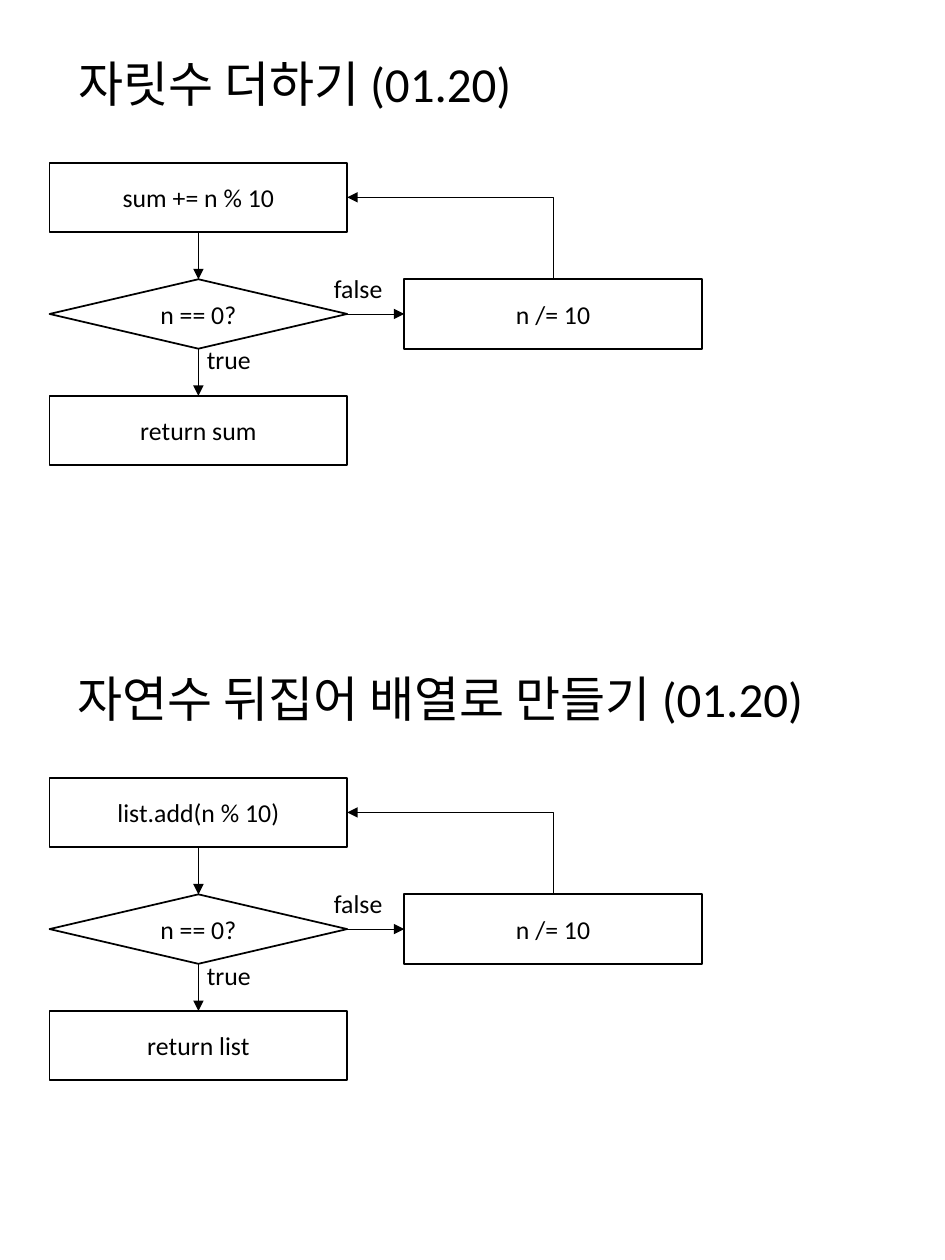
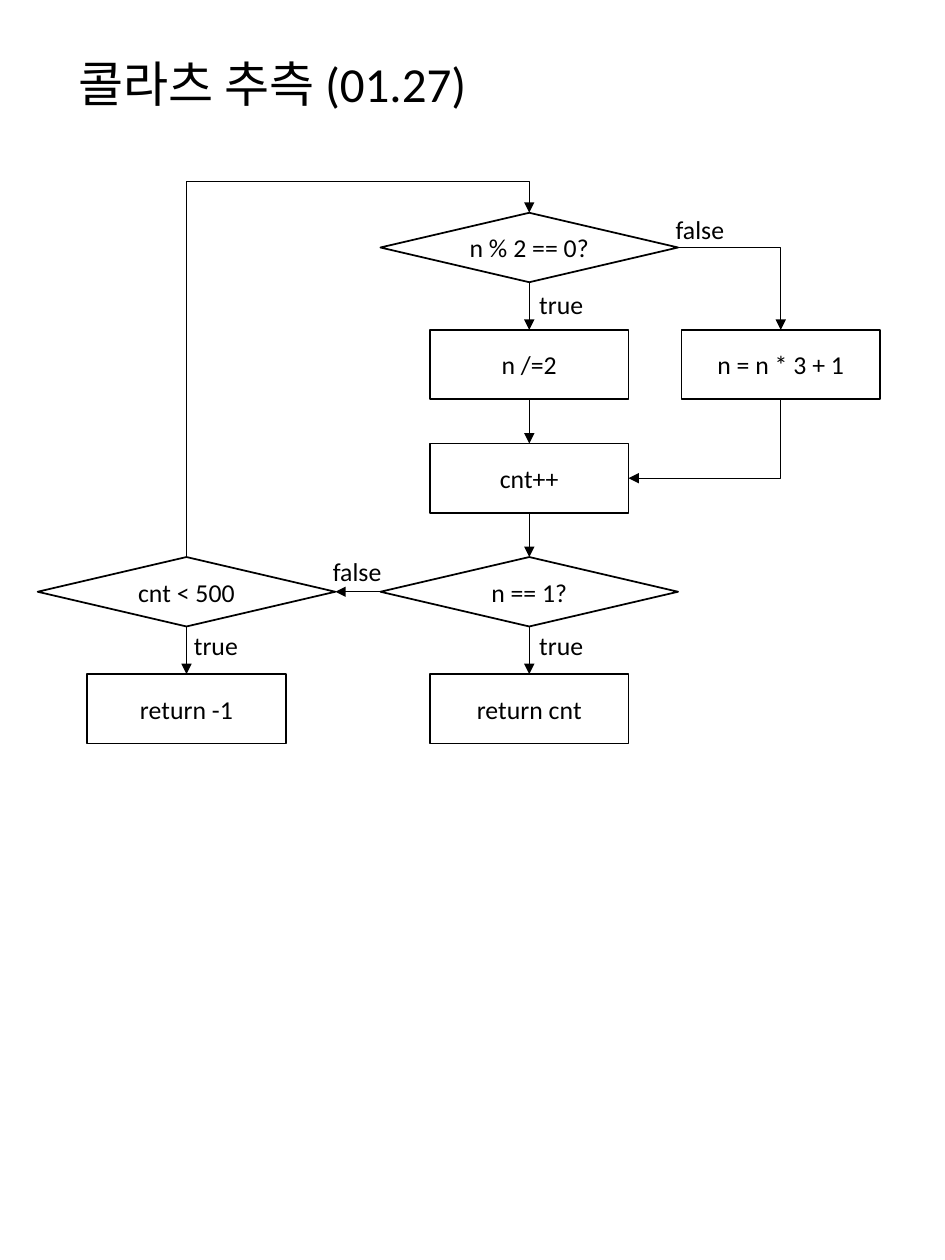
import pptx
import pptx.dml.color
import pptx.enum.shapes
import pptx.enum.text
import pptx.oxml
import pptx.oxml.ns
import pptx.util
from pptx.util import Cm

BLACK = pptx.dml.color.RGBColor(0x00, 0x00, 0x00)
FONT = "Calibri"
TITLE_SIZE, BODY_SIZE = 28, 14.7
TITLE_LEFT, TITLE_TOP, TITLE_WIDTH, TITLE_HEIGHT = 1.32, 0.97, 16.43, 1.55
NODE_HEIGHT, WIDE, NARROW = 1.4, 6, 4
LABEL_HEIGHT, LABEL_MARGIN = 0.89, 0.13

ALIGN = pptx.enum.text.PP_ALIGN
ANCHOR = pptx.enum.text.MSO_ANCHOR
AUTO_SIZE = pptx.enum.text.MSO_AUTO_SIZE
CONNECTOR = pptx.enum.shapes.MSO_CONNECTOR
RECTANGLE = pptx.enum.shapes.MSO_SHAPE.RECTANGLE
DIAMOND = pptx.enum.shapes.MSO_SHAPE.DIAMOND
TOP, LEFT, BOTTOM, RIGHT = range(4)  # connection sites of a node

# Elbow routes: preset, rotation, flipH, flipV
ROUTES = {
    "right, down": ("bentConnector2", 0, "0", "0"),
    "down, left": ("bentConnector2", 90, "0", "0"),
    "up, left": ("bentConnector2", 270, "0", "1"),
    "up, right, down": ("bentConnector3", 90, "1", "1"),
}
OVERSHOOT = 109200  # how far the three-part route rises past its target

# Division loop: the same flow for both exercises on the first slide
LOOP_TOP, LOOP_PITCH, LOOP_OFFSET = 3.28, 2.35, 12.4
LOOP_X, DIVIDE_X = 4, 11.15
LOOP_EXERCISES = [
    ("자릿수 더하기 (01.20)", "sum += n % 10", "return sum"),
    ("자연수 뒤집어 배열로 만들기 (01.20)", "list.add(n % 10)", "return list"),
]
LOOP_LINKS = [
    ("collect", BOTTOM, "check", TOP, None),
    ("check", BOTTOM, "return", TOP, None),
    ("check", RIGHT, "divide", LEFT, None),
    ("divide", TOP, "collect", RIGHT, "up, left"),
]

# A flow is: slide number, title, vertical offset, nodes, links, labels
flows = []
for number, (title, collect, result) in enumerate(LOOP_EXERCISES):
    offset = number * LOOP_OFFSET
    rows = [LOOP_TOP + row * LOOP_PITCH for row in range(3)]
    nodes = {
        "collect": (RECTANGLE, collect, LOOP_X, rows[0], WIDE),
        "check": (DIAMOND, "n == 0?", LOOP_X, rows[1], WIDE),
        "return": (RECTANGLE, result, LOOP_X, rows[2], WIDE),
        "divide": (RECTANGLE, "n /= 10", DIVIDE_X, rows[1], WIDE),
    }
    labels = [("true", 4.04, 6.81), ("false", 6.6, 5.36)]
    flows.append((0, title, offset, nodes, LOOP_LINKS, labels))

LIMIT_X, MAIN_X, ODD_X = 3.76, 10.67, 15.74
collatz_nodes = {
    "even": (DIAMOND, "n % 2 == 0?", MAIN_X, 4.29, WIDE),
    "halve": (RECTANGLE, "n /=2", MAIN_X, 6.65, NARROW),
    "triple": (RECTANGLE, "n = n * 3 + 1", ODD_X, 6.65, NARROW),
    "count": (RECTANGLE, "cnt++", MAIN_X, 8.94, NARROW),
    "one": (DIAMOND, "n == 1?", MAIN_X, 11.23, WIDE),
    "limit": (DIAMOND, "cnt < 500", LIMIT_X, 11.23, WIDE),
    "return count": (RECTANGLE, "return cnt", MAIN_X, 13.59, NARROW),
    "return failure": (RECTANGLE, "return -1", LIMIT_X, 13.59, NARROW),
}
collatz_links = [
    ("even", BOTTOM, "halve", TOP, None),
    ("halve", BOTTOM, "count", TOP, None),
    ("count", BOTTOM, "one", TOP, None),
    ("one", BOTTOM, "return count", TOP, None),
    ("one", LEFT, "limit", RIGHT, None),
    ("limit", BOTTOM, "return failure", TOP, None),
    ("even", RIGHT, "triple", TOP, "right, down"),
    ("triple", BOTTOM, "count", RIGHT, "down, left"),
    ("limit", TOP, "even", TOP, "up, right, down"),
]
collatz_labels = [
    ("false", 13.49, 4.17),
    ("true", 10.74, 5.69),
    ("false", 6.58, 11.07),
    ("true", 10.74, 12.57),
    ("true", 3.78, 12.57),
]
flows.append((1, "콜라츠 추측 (01.27)", 0, collatz_nodes, collatz_links, collatz_labels))


def write_text(shape, text, size, alignment, anchor):
    frame = shape.text_frame
    frame.vertical_anchor = anchor
    paragraph = frame.paragraphs[0]
    paragraph.alignment = alignment
    run = paragraph.add_run()
    run.text = text
    run.font.name = FONT
    run.font.size = pptx.util.Pt(size)
    run.font.color.rgb = BLACK
    return frame


def bend(connector, route):
    """Give an elbow connector its preset, rotation and flips, keeping its end points."""
    preset, rotation, flip_h, flip_v = ROUTES[route]
    left, top, width, height = connector.left, connector.top, connector.width, connector.height
    if rotation:
        connector.left = left + (width - height) // 2
        connector.top = top + (height - width) // 2
        connector.width, connector.height = height, width
    connector.rotation = rotation
    properties = connector.element.spPr
    frame = properties.find(pptx.oxml.ns.qn("a:xfrm"))
    frame.set("flipH", flip_h)
    frame.set("flipV", flip_v)
    geometry = properties.find(pptx.oxml.ns.qn("a:prstGeom"))
    geometry.set("prst", preset)
    if preset == "bentConnector3":
        guides = geometry.find(pptx.oxml.ns.qn("a:avLst"))
        guides.append(pptx.oxml.parse_xml(
            f'<a:gd {pptx.oxml.ns.nsdecls("a")} name="adj1" fmla="val {OVERSHOOT}"/>'))


presentation = pptx.Presentation()
presentation.slide_width = Cm(19.05)
presentation.slide_height = Cm(25.4)
title_only = presentation.slide_layouts[5]
slides = [presentation.slides.add_slide(title_only) for _ in range(2)]

for slide_number, title, offset, nodes, links, labels in flows:
    shapes = slides[slide_number].shapes

    # The second flow on a slide has a text box as its heading
    heading = shapes.add_textbox(0, 0, 0, 0) if offset else shapes.title
    heading.left, heading.top = Cm(TITLE_LEFT), Cm(TITLE_TOP + offset)
    heading.width, heading.height = Cm(TITLE_WIDTH), Cm(TITLE_HEIGHT)
    frame = write_text(heading, title, TITLE_SIZE, ALIGN.LEFT, ANCHOR.MIDDLE)
    frame.word_wrap = True
    frame.auto_size = AUTO_SIZE.NONE
    frame.paragraphs[0].line_spacing = 0.9

    placed = {}
    for name, (preset, text, center, top, width) in nodes.items():
        shape = shapes.add_shape(preset, Cm(center - width / 2), Cm(top + offset),
                                 Cm(width), Cm(NODE_HEIGHT))
        shape.shadow.inherit = False
        shape.fill.background()
        shape.line.color.rgb = BLACK
        shape.line.width = pptx.util.Pt(1)
        write_text(shape, text, BODY_SIZE, ALIGN.CENTER, ANCHOR.MIDDLE)
        placed[name] = shape

    for source, source_site, target, target_site, route in links:
        kind = CONNECTOR.ELBOW if route else CONNECTOR.STRAIGHT
        connector = shapes.add_connector(kind, 0, 0, 0, 0)
        connector.begin_connect(placed[source], source_site)
        connector.end_connect(placed[target], target_site)
        if route:
            bend(connector, route)
        connector.line.color.rgb = BLACK
        connector.line.width = pptx.util.Pt(0.5)
        properties = connector.element.spPr
        namespace = pptx.oxml.ns.nsdecls("a")
        properties.find(pptx.oxml.ns.qn("a:ln")).append(
            pptx.oxml.parse_xml(f'<a:tailEnd {namespace} type="triangle"/>'))
        properties.append(pptx.oxml.parse_xml(f"<a:effectLst {namespace}/>"))

    for text, left, top in labels:
        width = 1.17 if text == "true" else 1.24
        label = shapes.add_textbox(Cm(left), Cm(top + offset), Cm(width), Cm(LABEL_HEIGHT))
        frame = write_text(label, text, BODY_SIZE, ALIGN.LEFT, ANCHOR.TOP)
        frame.word_wrap = False
        frame.auto_size = AUTO_SIZE.SHAPE_TO_FIT_TEXT
        frame.margin_left = frame.margin_right = Cm(LABEL_MARGIN)
        frame.margin_top = frame.margin_bottom = Cm(LABEL_MARGIN)

presentation.save("out.pptx")
